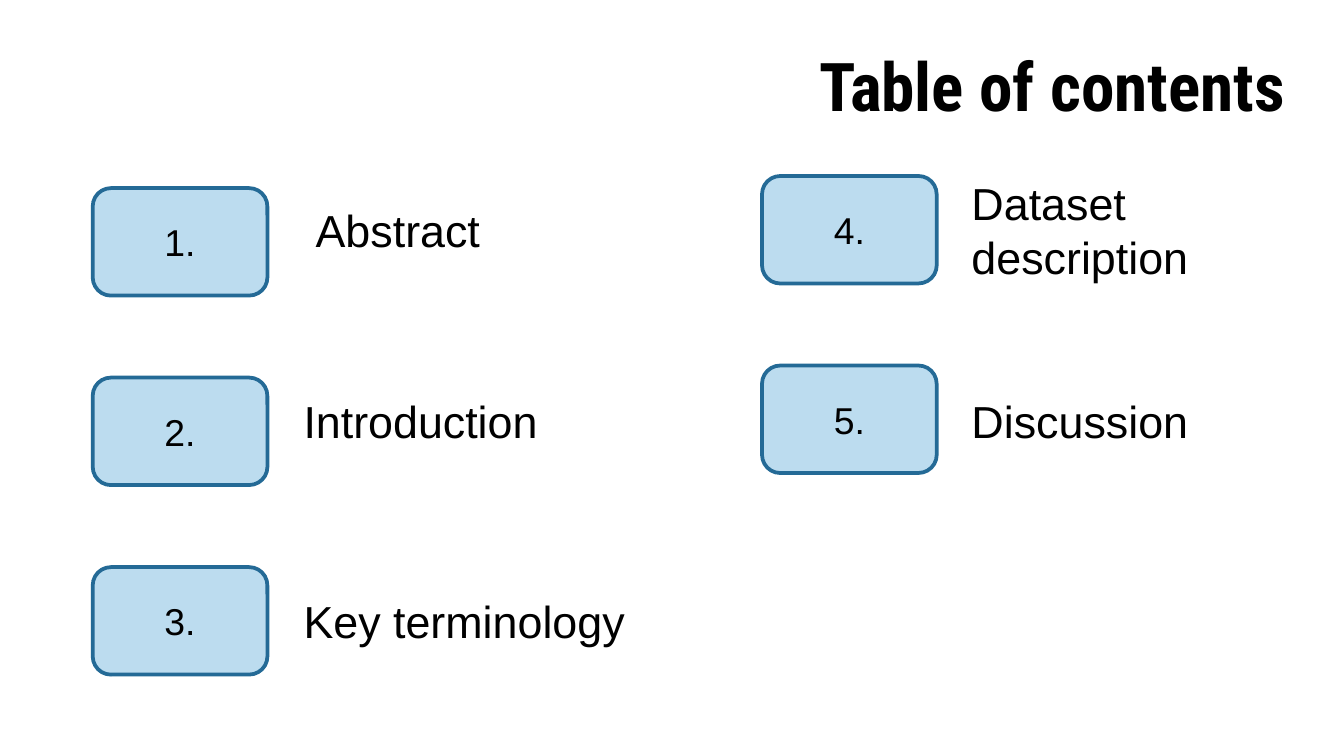
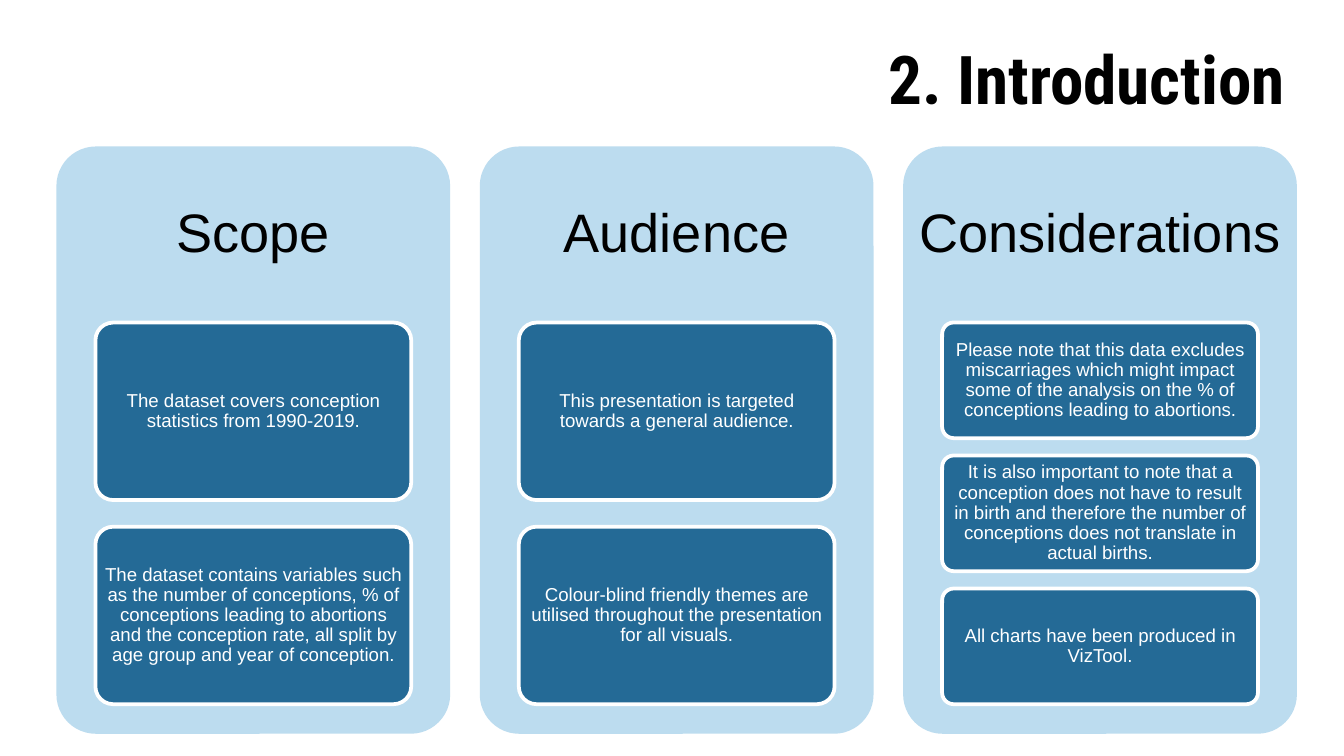
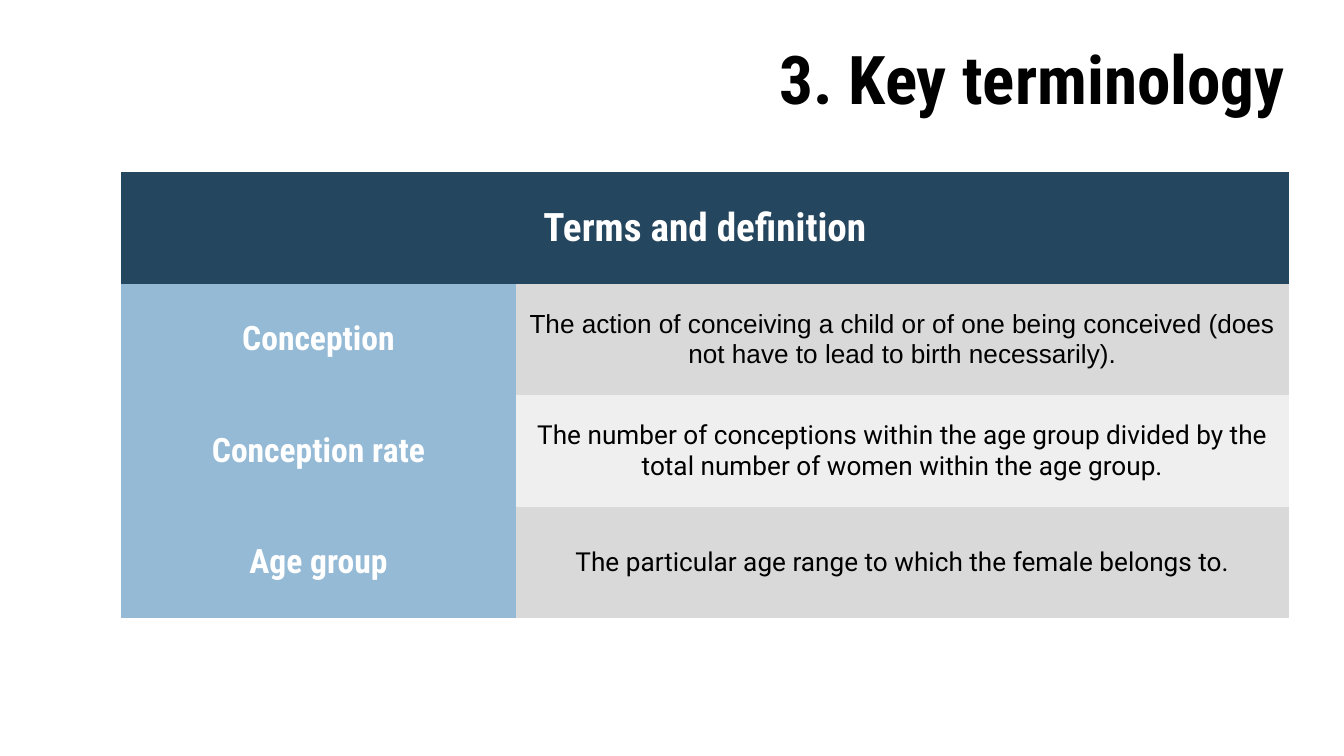
from pptx import Presentation
from pptx.dml.color import RGBColor
from pptx.enum.shapes import MSO_SHAPE as Shape
from pptx.enum.text import MSO_ANCHOR as Anchor, PP_ALIGN as Align
from pptx.oxml.ns import qn
from pptx.util import Inches, Pt

# Content
CONTENTS_TITLE = "Table of contents"
# Each column: badge left, first badge top, entries (label, left, top, width, height)
CONTENTS_COLUMNS = [
    (0.69, 1.4, [
        ("Abstract", 2.25, 1.46, 2.08, 0.5),
        ("Introduction", 2.16, 2.88, 2.08, 0.5),
        ("Key terminology", 2.16, 4.37, 3.12, 0.5),
    ]),
    (5.67, 1.31, [
        ("Dataset description", 7.13, 1.26, 2.08, 0.91),
        ("Discussion", 7.13, 2.88, 2.08, 0.5),
    ]),
]

INTRODUCTION_TITLE = "2. Introduction"
PANELS = [
    ("Scope", [
        "The dataset covers conception statistics from 1990-2019.",
        "The dataset contains variables such as the number of conceptions, % of "
        "conceptions leading to abortions and the conception rate, all split by "
        "age group and year of conception.",
    ]),
    ("Audience", [
        "This presentation is targeted towards a general audience.",
        "Colour-blind friendly themes are utilised throughout the presentation "
        "for all visuals.",
    ]),
    ("Considerations", [
        "Please note that this data excludes miscarriages which might impact some "
        "of the analysis on the % of conceptions leading to abortions.",
        "It is also important to note that a conception does not have to result in "
        "birth and therefore the number of conceptions does not translate in "
        "actual births.",
        "All charts have been produced in VizTool.",
    ]),
]

TERMS_TITLE = "3. Key terminology"
TERMS_HEADER = "Terms and definition"
TERMS = [
    ("Conception", "The action of conceiving a child or of one being conceived "
     "(does not have to lead to birth necessarily).", "Arial"),
    ("Conception rate", "The number of conceptions within the age group divided by "
     "the total number of women within the age group.", "Roboto"),
    ("Age group", "The particular age range to which the female belongs to.", "Roboto"),
]

# Shared style
COLORS = {
    "white": "FFFFFF", "black": "000000", "light": "BCDCEF", "blue": "246A96",
    "header": "25465F", "term": "95BAD6", "odd": "D9D9D9", "even": "EFEFEF",
}
HEADING_FONT = "Roboto Condensed"
BODY_FONT = "Arial"
NO_TABLE_STYLE = "{2D5ABB26-0587-4C30-8999-92F81FD0307C}"


def color(name):
    return RGBColor.from_string(COLORS[name])


def write(frame, text, size, ink="black", font=BODY_FONT, bold=False,
          align=Align.CENTER, spacing=None):
    paragraph = frame.paragraphs[0]
    paragraph.alignment = align
    paragraph.line_spacing = spacing
    run = paragraph.add_run()
    run.text = text
    run.font.size = Pt(size)
    run.font.name = font
    run.font.bold = bold
    run.font.color.rgb = color(ink)


def set_margins(target, side, end):
    target.margin_left = target.margin_right = Inches(side)
    target.margin_top = target.margin_bottom = Inches(end)


def add_text(slide, box, text, size, anchor=Anchor.MIDDLE, margins=(0.1, 0.1), **style):
    frame = slide.shapes.add_textbox(*map(Inches, box)).text_frame
    frame.word_wrap = True
    frame.vertical_anchor = anchor
    set_margins(frame, *margins)
    write(frame, text, size, **style)


def add_rounded(slide, box, fill, line=None, corner=0.1):
    shape = slide.shapes.add_shape(Shape.ROUNDED_RECTANGLE, *map(Inches, box))
    shape.shadow.inherit = False
    shape.adjustments[0] = corner
    shape.fill.solid()
    shape.fill.fore_color.rgb = color(fill)
    if line:
        shape.line.color.rgb = color(line)
        shape.line.width = Pt(2)
    else:
        shape.line.fill.background()
    shape.text_frame.word_wrap = True
    shape.text_frame.vertical_anchor = Anchor.MIDDLE
    return shape


def add_titled_slide(presentation, title, top=0.12):
    slide = presentation.slides.add_slide(presentation.slide_layouts[6])
    add_text(slide, (0.34, top, 9.32, 0.92), title, 36,
             font=HEADING_FONT, bold=True, align=Align.RIGHT)
    return slide


def build_contents(presentation):
    slide = add_titled_slide(presentation, CONTENTS_TITLE, top=0.17)
    pitch = 1.41
    number = 0
    for left, first_top, entries in CONTENTS_COLUMNS:
        for row, (label, *label_box) in enumerate(entries):
            number += 1
            badge = add_rounded(slide, (left, first_top + row * pitch, 1.3, 0.8),
                                "light", "blue", corner=0.17)
            write(badge.text_frame, f"{number}.", 20)
            add_text(slide, label_box, label, 24, anchor=Anchor.TOP,
                     margins=(0.1, 0.05), align=Align.LEFT)


def build_introduction(presentation):
    slide = add_titled_slide(presentation, INTRODUCTION_TITLE)
    top, width, pitch = 1.09, 2.93, 3.15
    cards_top, cards_height, card_width = 2.4, 2.84, 2.35
    gap_ratio = 0.15  # gap between cards as a share of card height
    for column, (heading, notes) in enumerate(PANELS):
        left = 0.42 + column * pitch
        add_rounded(slide, (left, top, width, 4.37), "light")
        add_text(slide, (left, top, width, 1.31), heading, 29,
                 margins=(0.1, 0.12), spacing=0.9)
        count = len(notes)
        height = cards_height / (count + (count - 1) * gap_ratio)
        card_left = left + (width - card_width) / 2
        for row, note in enumerate(notes):
            card_top = cards_top + row * height * (1 + gap_ratio)
            card = add_rounded(slide, (card_left, card_top, card_width, height),
                               "blue", "white")
            set_margins(card.text_frame, 0.03, 0.02)
            write(card.text_frame, note, 10, "white", spacing=0.9)


def fill_cell(cell, fill, text, size, **style):
    cell.fill.solid()
    cell.fill.fore_color.rgb = color(fill)
    cell.vertical_anchor = Anchor.MIDDLE
    set_margins(cell, 0.1, 0.1)
    write(cell.text_frame, text, size, **style)


def build_terms(presentation):
    slide = add_titled_slide(presentation, TERMS_TITLE)
    box = map(Inches, (0.9, 1.28, 8.69, 3.32))
    table = slide.shapes.add_table(len(TERMS) + 1, 2, *box).table
    table.first_row = table.horz_banding = False
    table._tbl.tblPr.find(qn("a:tableStyleId")).text = NO_TABLE_STYLE
    for column, width in zip(table.columns, (2.94, 5.75)):
        column.width = Inches(width)

    heading = {"ink": "white", "font": HEADING_FONT, "bold": True}
    table.cell(0, 0).merge(table.cell(0, 1))
    fill_cell(table.cell(0, 0), "header", TERMS_HEADER, 21, **heading)
    for row, (term, definition, font) in enumerate(TERMS, start=1):
        fill_cell(table.cell(row, 0), "term", term, 18, **heading)
        fill_cell(table.cell(row, 1), "odd" if row % 2 else "even",
                  definition, 14, font=font)


def main():
    presentation = Presentation()
    # Widescreen, 16:9
    presentation.slide_width = Inches(10)
    presentation.slide_height = Inches(10 * 9 / 16)
    build_contents(presentation)
    build_introduction(presentation)
    build_terms(presentation)
    presentation.save("out.pptx")


if __name__ == "__main__":
    main()
